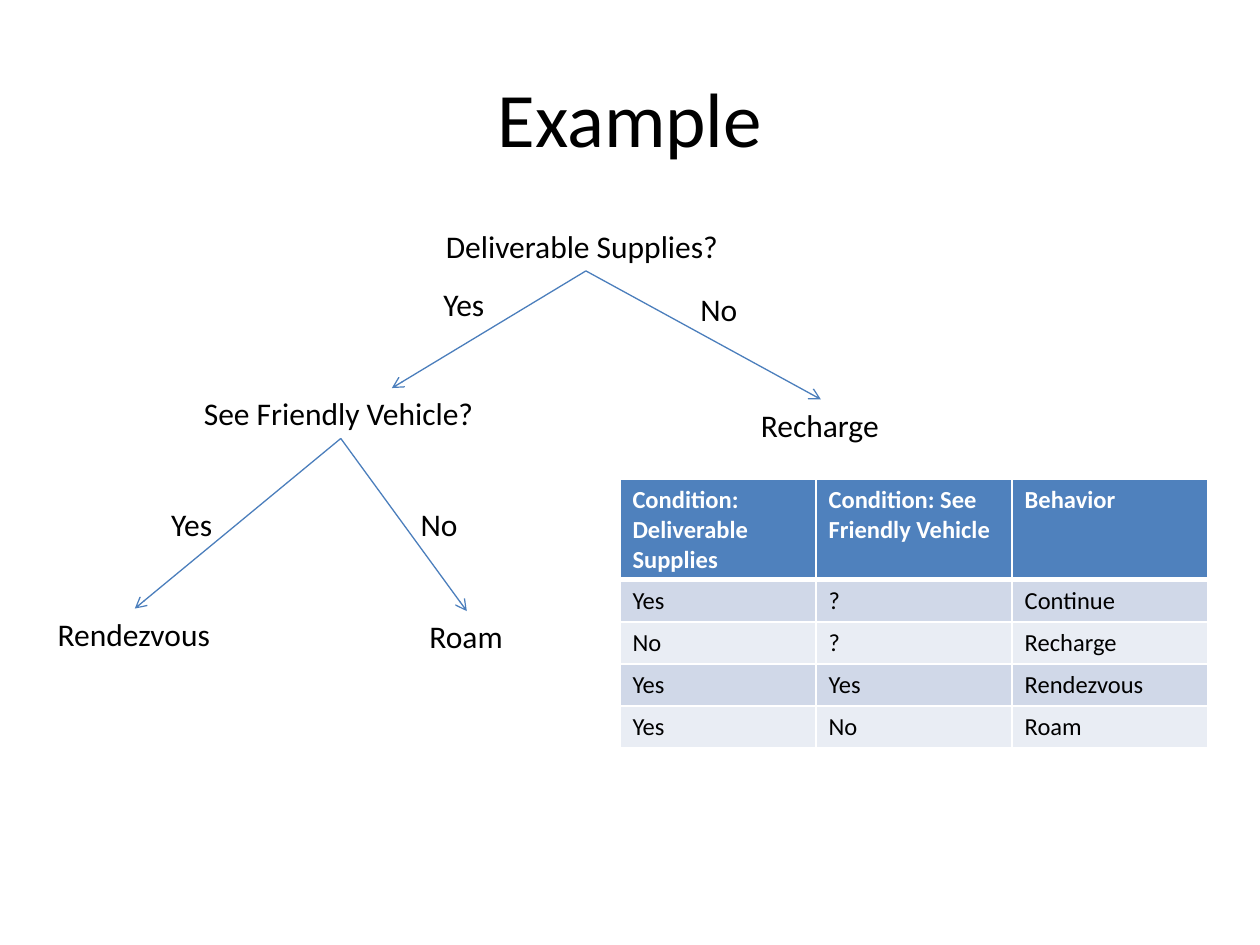
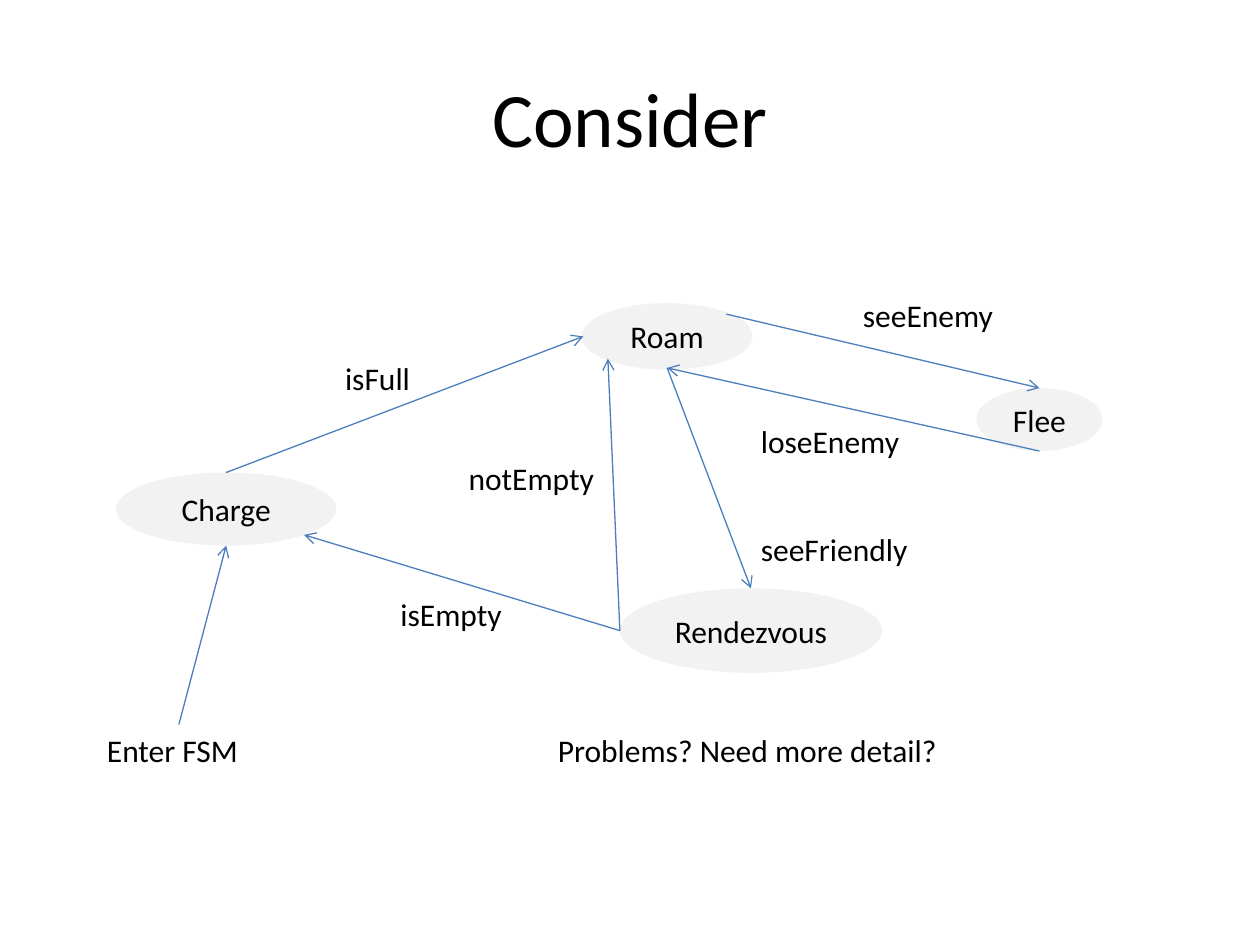
from dataclasses import dataclass
from math import cos, radians, sin

from lxml import etree
from pptx import Presentation
from pptx.dml.color import RGBColor
from pptx.enum.shapes import MSO_CONNECTOR, MSO_SHAPE
from pptx.enum.text import MSO_ANCHOR, MSO_AUTO_SIZE, PP_ALIGN
from pptx.oxml.ns import qn
from pptx.util import Inches, Pt

STRAIGHT = MSO_CONNECTOR.STRAIGHT
ELLIPSE = MSO_SHAPE.OVAL
CENTER = PP_ALIGN.CENTER
MIDDLE = MSO_ANCHOR.MIDDLE
FIT_SHAPE = MSO_AUTO_SIZE.SHAPE_TO_FIT_TEXT
TITLE_ONLY = 5
TOP, BOTTOM = 0, 2
LABEL_HEIGHT = 0.4


@dataclass(frozen=True)
class Theme:
    font: str = "Calibri"
    title_size: int = 44
    label_size: int = 18
    table_size: int = 14
    text: str = "000000"
    white: str = "FFFFFF"
    arrow: str = "4B7EBC"
    state: str = "F2F2F2"
    header: str = "4F81BD"
    bands: tuple = ("D0D8E8", "E9EDF4")


THEME = Theme()


def rgb(value):
    return RGBColor.from_string(value)


def add_run(paragraph, text, size, color=THEME.text, bold=False):
    run = paragraph.add_run()
    run.text = text
    run.font.name = THEME.font
    run.font.size = Pt(size)
    run.font.bold = bold
    run.font.color.rgb = rgb(color)


def add_titled_slide(presentation, title):
    slide = presentation.slides.add_slide(presentation.slide_layouts[TITLE_ONLY])
    shape = slide.shapes.title
    shape.left, shape.top = Inches(0.5), Inches(0.3)
    shape.width, shape.height = Inches(9), Inches(1.25)
    shape.text_frame.vertical_anchor = MIDDLE
    paragraph = shape.text_frame.paragraphs[0]
    paragraph.alignment = CENTER
    add_run(paragraph, title, THEME.title_size)
    return slide


def add_label(slide, text, left, top, width):
    box = slide.shapes.add_textbox(
        Inches(left), Inches(top), Inches(width), Inches(LABEL_HEIGHT))
    box.text_frame.word_wrap = False
    box.text_frame.auto_size = FIT_SHAPE
    add_run(box.text_frame.paragraphs[0], text, THEME.label_size)
    return box


def add_state(slide, text, left, top, width, height):
    shape = slide.shapes.add_shape(
        ELLIPSE, Inches(left), Inches(top), Inches(width), Inches(height))
    shape.shadow.inherit = False
    shape.fill.solid()
    shape.fill.fore_color.rgb = rgb(THEME.state)
    shape.line.fill.background()
    shape.text_frame.word_wrap = True
    shape.text_frame.vertical_anchor = MIDDLE
    paragraph = shape.text_frame.paragraphs[0]
    paragraph.alignment = CENTER
    add_run(paragraph, text, THEME.label_size)
    return shape


def rim(state, degrees):
    """Point on the ellipse's edge, clockwise from its right end."""
    angle = radians(degrees)
    return (round(state.left + state.width / 2 * (1 + cos(angle))),
            round(state.top + state.height / 2 * (1 + sin(angle))))


def point(x, y):
    return Inches(x), Inches(y)


def add_arrow(slide, start, end):
    arrow = slide.shapes.add_connector(STRAIGHT, *start, *end)
    arrow.line.color.rgb = rgb(THEME.arrow)
    arrow.line.width = Pt(0.75)
    line = arrow.line._get_or_add_ln()
    etree.SubElement(line, qn("a:tailEnd"), type="arrow")
    etree.SubElement(arrow._element.spPr, qn("a:effectLst"))
    return arrow


def add_branch(slide, question, end, answer=None):
    """Arrow from below a question to a point, or to the top of an answer."""
    arrow = add_arrow(slide, end, end)
    arrow.begin_connect(question, BOTTOM)
    if answer is not None:
        arrow.end_connect(answer, TOP)


def add_cell_borders(cell, widths):
    properties = cell._tc.get_or_add_tcPr()
    for side, width in zip("LRTB", widths):
        border = etree.SubElement(
            properties, qn(f"a:ln{side}"), w=str(Pt(width)))
        fill = etree.SubElement(border, qn("a:solidFill"))
        etree.SubElement(fill, qn("a:srgbClr"), val=THEME.white)


def add_behavior_table(slide, rows):
    header_height, row_height = 0.8, 0.33
    table = slide.shapes.add_table(
        len(rows), len(rows[0]), Inches(4.92), Inches(3.8), Inches(4.67),
        Inches(header_height + row_height * (len(rows) - 1))).table
    for row_index, values in enumerate(rows):
        is_header = row_index == 0
        table.rows[row_index].height = Inches(
            header_height if is_header else row_height)
        fill = THEME.header if is_header else THEME.bands[(row_index - 1) % 2]
        color = THEME.white if is_header else THEME.text
        widths = (1, 1, 3 if row_index == 1 else 1, 3 if is_header else 1)
        for column_index, value in enumerate(values):
            cell = table.cell(row_index, column_index)
            add_cell_borders(cell, widths)
            cell.fill.solid()
            cell.fill.fore_color.rgb = rgb(fill)
            add_run(cell.text_frame.paragraphs[0], value,
                    THEME.table_size, color, is_header)


def build_decision_tree(presentation):
    slide = add_titled_slide(presentation, "Example")
    supplies = add_label(slide, "Deliverable Supplies?", 3.44, 1.75, 2.42)
    vehicle = add_label(slide, "See Friendly Vehicle?", 1.52, 3.08, 2.37)
    rendezvous = add_label(slide, "Rendezvous", 0.36, 4.83, 1.42)
    roam = add_label(slide, "Roam", 3.31, 4.85, 0.79)
    recharge = add_label(slide, "Recharge", 5.94, 3.17, 1.15)

    add_branch(slide, supplies, point(3.11, 3.08))
    for question, answer in ((supplies, recharge), (vehicle, rendezvous),
                             (vehicle, roam)):
        add_branch(slide, question, (answer.left, answer.top), answer)

    for text, left, top, width in (
            ("Yes", 3.42, 2.21, 0.53), ("No", 5.46, 2.25, 0.5),
            ("Yes", 1.26, 3.96, 0.53), ("No", 3.24, 3.96, 0.5)):
        add_label(slide, text, left, top, width)

    add_behavior_table(slide, (
        ("Condition: Deliverable Supplies", "Condition: See Friendly Vehicle",
         "Behavior"),
        ("Yes", "?", "Continue"),
        ("No", "?", "Recharge"),
        ("Yes", "Yes", "Rendezvous"),
        ("Yes", "No", "Roam")))


def build_state_machine(presentation):
    slide = add_titled_slide(presentation, "Consider")
    charge = add_state(slide, "Charge", 0.92, 3.75, 1.75, 0.58)
    roam = add_state(slide, "Roam", 4.63, 2.42, 1.33, 0.5)
    roam.line.color.rgb = rgb(THEME.state)
    roam.line.width = Pt(2)
    flee = add_state(slide, "Flee", 7.75, 3.08, 1, 0.5)
    rendezvous = add_state(slide, "Rendezvous", 4.92, 4.67, 2.08, 0.67)

    for start, end in (
            (rim(charge, 270), rim(roam, 180)),
            (rim(roam, 315), rim(flee, 270)),
            (rim(flee, 90), rim(roam, 90)),
            (rim(roam, 90), rim(rendezvous, 270)),
            (rim(rendezvous, 180), rim(roam, 135)),
            (rim(rendezvous, 180), rim(charge, 45)),
            (point(1.42, 5.75), rim(charge, 90))):
        add_arrow(slide, start, end)

    for text, left, top, width in (
            ("isFull", 2.64, 2.8, 0.72),
            ("seeEnemy", 6.75, 2.3, 1.25),
            ("loseEnemy", 5.94, 3.3, 1.31),
            ("seeFriendly", 5.94, 4.16, 1.38),
            ("notEmpty", 3.62, 3.59, 1.21),
            ("isEmpty", 3.08, 4.67, 1.01),
            ("Enter FSM", 0.75, 5.75, 1.25),
            ("Problems? Need more detail?", 4.33, 5.75, 3.24)):
        add_label(slide, text, left, top, width)


def main():
    presentation = Presentation()
    presentation.slide_width, presentation.slide_height = point(10, 7.5)
    build_decision_tree(presentation)
    build_state_machine(presentation)
    presentation.save("out.pptx")


if __name__ == "__main__":
    main()
